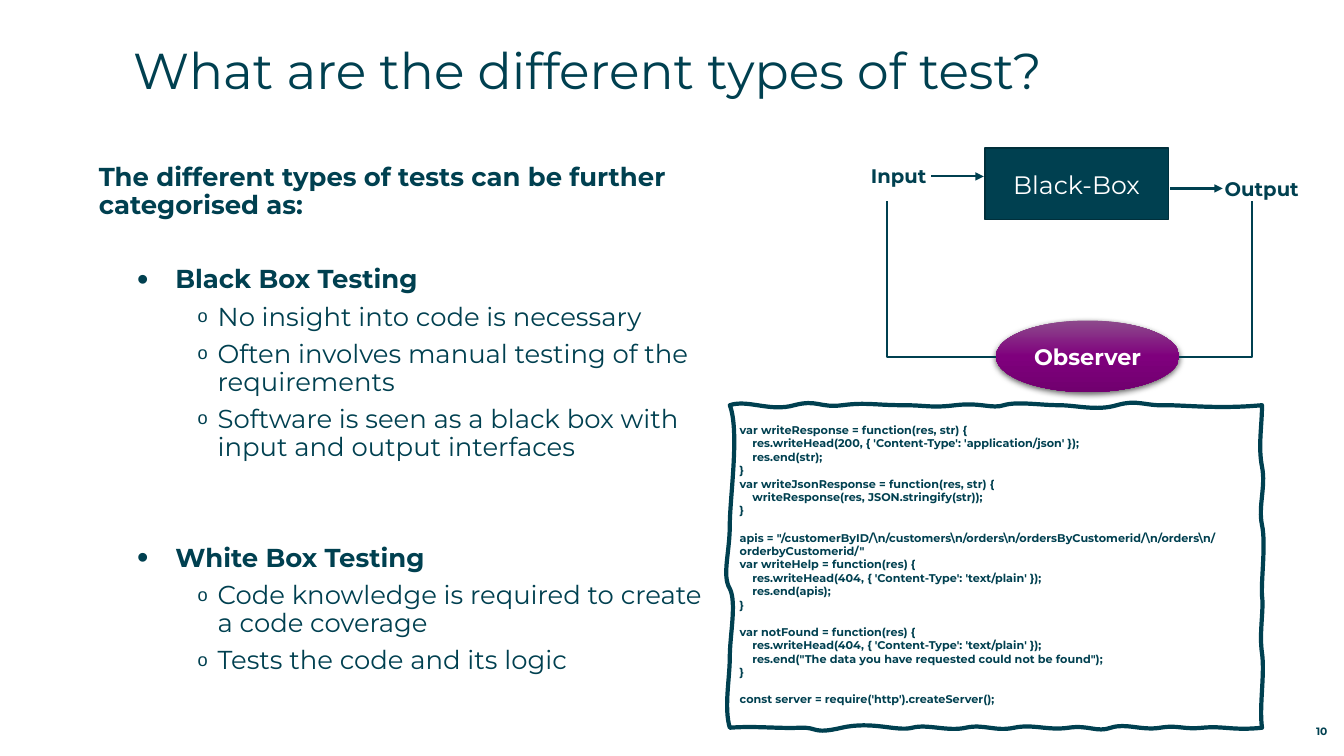
from dataclasses import dataclass

from lxml import etree
from pptx import Presentation
from pptx.dml.color import RGBColor
from pptx.enum.shapes import MSO_CONNECTOR, MSO_SHAPE
from pptx.enum.text import MSO_ANCHOR, MSO_AUTO_SIZE, PP_ALIGN
from pptx.oxml.ns import qn
from pptx.util import Emu, Pt

EMU_PER_PX = 9144  # 100 px to the inch
FONT = "Montserrat"
TEAL, DARK_TEAL, WHITE = "004050", "002F3B", "FFFFFF"
LEFT, CENTER, RIGHT = PP_ALIGN.LEFT, PP_ALIGN.CENTER, PP_ALIGN.RIGHT
TOP, MIDDLE, BOTTOM = MSO_ANCHOR.TOP, MSO_ANCHOR.MIDDLE, MSO_ANCHOR.BOTTOM
STRAIGHT, ELBOW = MSO_CONNECTOR.STRAIGHT, MSO_CONNECTOR.ELBOW
RECTANGLE, OVAL = MSO_SHAPE.RECTANGLE, MSO_SHAPE.OVAL
NO_AUTOFIT = MSO_AUTO_SIZE.NONE


@dataclass
class Item:
    text: str
    level: int = 0
    bullet: str = ""
    bullet_percent: int = 100
    margin: int = 0
    hanging: int = 0
    bold: bool = True
    after: float = 6.5


@dataclass
class Label:
    text: str
    box: tuple
    size: float
    align: int = LEFT
    anchor: int = TOP


@dataclass
class Link:
    start: tuple
    end: tuple
    bent: bool = False


def kind(text: str, after: float = 6.5) -> Item:
    return Item(text, 1, "•", 125, 76, 38, True, after)


def detail(text: str, after: float = 6.5) -> Item:
    return Item(text, 2, "o", 70, 118, 20, False, after)


TITLE = "What are the different types of test?"
ITEMS = [
    Item("The different types of tests can be further categorised as:", after=33),
    kind("Black Box Testing"),
    detail("No insight into code is necessary"),
    detail("Often involves manual testing of the requirements"),
    detail("Software is seen as a black box with input and output interfaces", 59.5),
    kind("White Box Testing"),
    detail("Code knowledge is required to create a code coverage"),
    detail("Tests the code and its logic"),
]
LABELS = [
    Label("Input", (864, 163, 90, 45), 14),
    Label("Output", (1215, 176, 90, 45), 14),
    Label("10", (1231, 712, 86, 20), 7.6, RIGHT, BOTTOM),
]
LINKS = [
    Link((988, 354), (880, 199), True),
    Link((1170, 354), (1242, 199), True),
    Link((924, 175), (976, 175)),
    Link((1161, 187), (1213, 187)),
]
OBSERVER_STOPS = [(0, "8D4B8C"), (50, "7F007D"), (100, "71006F")]
# Blocks of code are parted by a gap of one line
CODE = [
    r"""var writeResponse = function(res, str) {
    res.writeHead(200, { 'Content-Type': 'application/json' });
    res.end(str);
}
var writeJsonResponse = function(res, str) {
    writeResponse(res, JSON.stringify(str));
}""",
    r"""apis = "/customerByID/\n/customers\n/orders\n/ordersByCustomerid/\n/orders\n/orderbyCustomerid/"
var writeHelp = function(res) {
    res.writeHead(404, { 'Content-Type': 'text/plain' });
    res.end(apis);
}""",
    r"""var notFound = function(res) {
    res.writeHead(404, { 'Content-Type': 'text/plain' });
    res.end("The data you have requested could not be found");
}""",
    "const server = require('http').createServer();",
]
CODE_LINE = 9.75
# Hand-drawn frame: two control points and an end point per curve
FRAME_START = (724, 402)
FRAME_CURVES = [
    (742, 396, 764, 409, 788, 402), (811, 396, 813, 405, 836, 402),
    (859, 399, 869, 402, 895, 402), (920, 402, 923, 405, 948, 402),
    (973, 399, 984, 406, 996, 402), (1009, 398, 1032, 402, 1050, 402),
    (1068, 402, 1088, 408, 1108, 402), (1129, 396, 1136, 403, 1156, 402),
    (1177, 402, 1210, 406, 1252, 402), (1252, 422, 1248, 443, 1252, 463),
    (1256, 483, 1248, 502, 1252, 521), (1256, 539, 1251, 576, 1252, 591),
    (1254, 605, 1249, 628, 1252, 648), (1255, 669, 1249, 701, 1252, 722),
    (1223, 725, 1214, 720, 1193, 722), (1173, 724, 1169, 719, 1151, 722),
    (1132, 725, 1117, 717, 1102, 722), (1088, 727, 1080, 719, 1060, 722),
    (1039, 725, 1025, 718, 1006, 722), (987, 726, 976, 718, 958, 722),
    (940, 726, 920, 718, 905, 722), (889, 726, 866, 715, 835, 722),
    (805, 729, 812, 721, 793, 722), (773, 723, 748, 720, 724, 722),
    (718, 702, 724, 673, 724, 652), (724, 630, 731, 598, 724, 584),
    (716, 571, 724, 548, 724, 521), (724, 493, 734, 428, 724, 402),
]


def px(value: float) -> Emu:
    return Emu(round(value * EMU_PER_PX))


def color(hex_code: str) -> RGBColor:
    return RGBColor.from_string(hex_code)


def write(paragraph, text: str, size: float, bold: bool = True, ink: str = TEAL) -> None:
    run = paragraph.add_run()
    run.text = text
    run.font.name, run.font.size, run.font.bold = FONT, Pt(size), bold
    run.font.color.rgb = color(ink)


def prepare_frame(shape, anchor: int = TOP, inset: int = 0):
    frame = shape.text_frame
    frame.word_wrap, frame.auto_size = True, NO_AUTOFIT
    frame.vertical_anchor = anchor
    frame.margin_left = frame.margin_right = px(inset)
    frame.margin_top = frame.margin_bottom = px(inset)
    return frame


def place(shape, *box: int) -> None:
    shape.left, shape.top, shape.width, shape.height = map(px, box)


def add_item(paragraph, item: Item) -> None:
    paragraph.level = item.level
    props = paragraph._p.get_or_add_pPr()
    props.set("marL", str(px(item.margin)))
    props.set("indent", str(px(-item.hanging)))
    if item.bullet:
        etree.SubElement(props, qn("a:buSzPct"), val=str(item.bullet_percent * 1000))
        etree.SubElement(props, qn("a:buChar"), char=item.bullet)
    else:
        etree.SubElement(props, qn("a:buNone"))
    paragraph.alignment = LEFT
    paragraph.line_spacing = 0.9
    paragraph.space_before, paragraph.space_after = Pt(0), Pt(item.after)
    write(paragraph, item.text, 18.5, item.bold)


def add_label(shapes, label: Label) -> None:
    frame = prepare_frame(shapes.add_textbox(*map(px, label.box)), label.anchor)
    frame.paragraphs[0].alignment = label.align
    write(frame.paragraphs[0], label.text, label.size)


def add_node(shapes, preset: int, box: tuple, text: str, size: int, bold: bool):
    node = shapes.add_shape(preset, *map(px, box))
    node.shadow.inherit = False
    paragraph = prepare_frame(node, MIDDLE, 5).paragraphs[0]
    paragraph.alignment = CENTER
    write(paragraph, text, size, bold, WHITE)
    return node


def style_observer(node) -> None:
    node.line.fill.background()
    node.fill.gradient()
    node.fill.gradient_angle = 270
    properties = node._element.spPr
    stops = properties.find(".//" + qn("a:gsLst"))
    stops.clear()
    for percent, shade in OBSERVER_STOPS:
        stop = etree.SubElement(stops, qn("a:gs"), pos=str(percent * 1000))
        etree.SubElement(stop, qn("a:srgbClr"), val=shade)
    shadow = etree.SubElement(properties.find(qn("a:effectLst")), qn("a:outerShdw"),
                              blurRad=str(Pt(4.5)), dist=str(Pt(1.5)), dir="5400000", rotWithShape="0")
    black = etree.SubElement(shadow, qn("a:srgbClr"), val="000000")
    etree.SubElement(black, qn("a:alpha"), val="63000")


def add_link(shapes, link: Link) -> None:
    connector = shapes.add_connector(ELBOW if link.bent else STRAIGHT, *map(px, link.start + link.end))
    connector.line.color.rgb, connector.line.width = color(TEAL), Pt(1.5)
    properties = connector._element.spPr
    if link.bent:
        properties.find(qn("a:prstGeom")).set("prst", "bentConnector2")
    else:
        etree.SubElement(connector.line._get_or_add_ln(), qn("a:tailEnd"), type="triangle")
    etree.SubElement(properties, qn("a:effectLst"))


def add_wavy_panel(shapes):
    builder = shapes.build_freeform(*map(px, FRAME_START))
    builder.add_line_segments([(px(curve[4]), px(curve[5])) for curve in FRAME_CURVES], close=True)
    panel = builder.convert_to_shape()
    # Bend each straight segment with its control points
    segments = panel._element.spPr.findall(".//" + qn("a:lnTo"))
    for segment, curve in zip(segments, FRAME_CURVES):
        bend = etree.Element(qn("a:cubicBezTo"))
        for x, y in zip(curve[::2], curve[1::2]):
            etree.SubElement(bend, qn("a:pt"), x=str(px(x) - panel.left), y=str(px(y) - panel.top))
        segment.getparent().replace(segment, bend)
    panel.shadow.inherit = False
    panel.fill.background()
    panel.line.color.rgb, panel.line.width = color(TEAL), Pt(3)
    return panel


def add_code(shapes) -> None:
    frame = prepare_frame(add_wavy_panel(shapes), TOP, 10)
    frame.margin_top = px(18)
    for block_index, block in enumerate(CODE):
        for line_index, line in enumerate(block.splitlines()):
            first = block_index == line_index == 0
            paragraph = frame.paragraphs[0] if first else frame.add_paragraph()
            paragraph.alignment = LEFT
            if block_index and line_index == 0:
                paragraph.space_before = Pt(CODE_LINE)
            write(paragraph, line, 8)


def main() -> None:
    deck = Presentation()
    deck.slide_width, deck.slide_height = px(750 * 16 / 9), px(750)
    slide = deck.slides.add_slide(deck.slide_layouts[1])
    shapes = slide.shapes
    # Title and list
    title, body = shapes.title, slide.placeholders[1]
    place(title, 132, 39, 1165, 88)
    heading = prepare_frame(title).paragraphs[0]
    heading.alignment = LEFT
    write(heading, TITLE, 36, False)
    place(body, 98, 163, 614, 542)
    body_frame = prepare_frame(body)
    for index, item in enumerate(ITEMS):
        add_item(body_frame.add_paragraph() if index else body_frame.paragraphs[0], item)
    # Black-box diagram
    black_box = add_node(shapes, RECTANGLE, (977, 147, 182, 71), "Black-Box", 18, False)
    black_box.fill.solid()
    black_box.fill.fore_color.rgb = color(TEAL)
    black_box.line.color.rgb, black_box.line.width = color(DARK_TEAL), Pt(1)
    style_observer(add_node(shapes, OVAL, (988, 318, 182, 71), "Observer", 16, True))
    for link in LINKS:
        add_link(shapes, link)
    # Code panel, diagram labels and page number
    add_code(shapes)
    for label in LABELS:
        add_label(shapes, label)
    deck.save("out.pptx")


if __name__ == "__main__":
    main()
